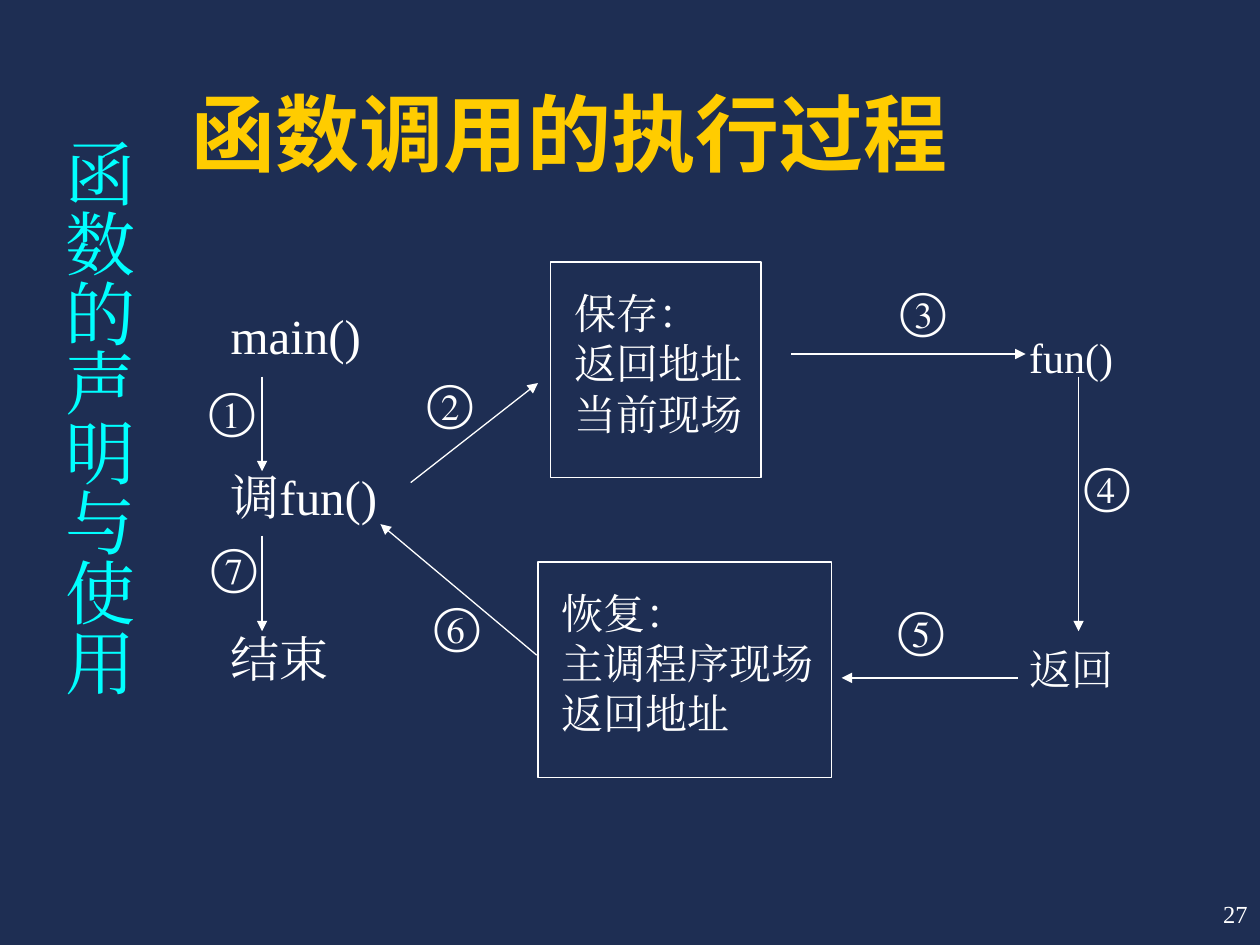
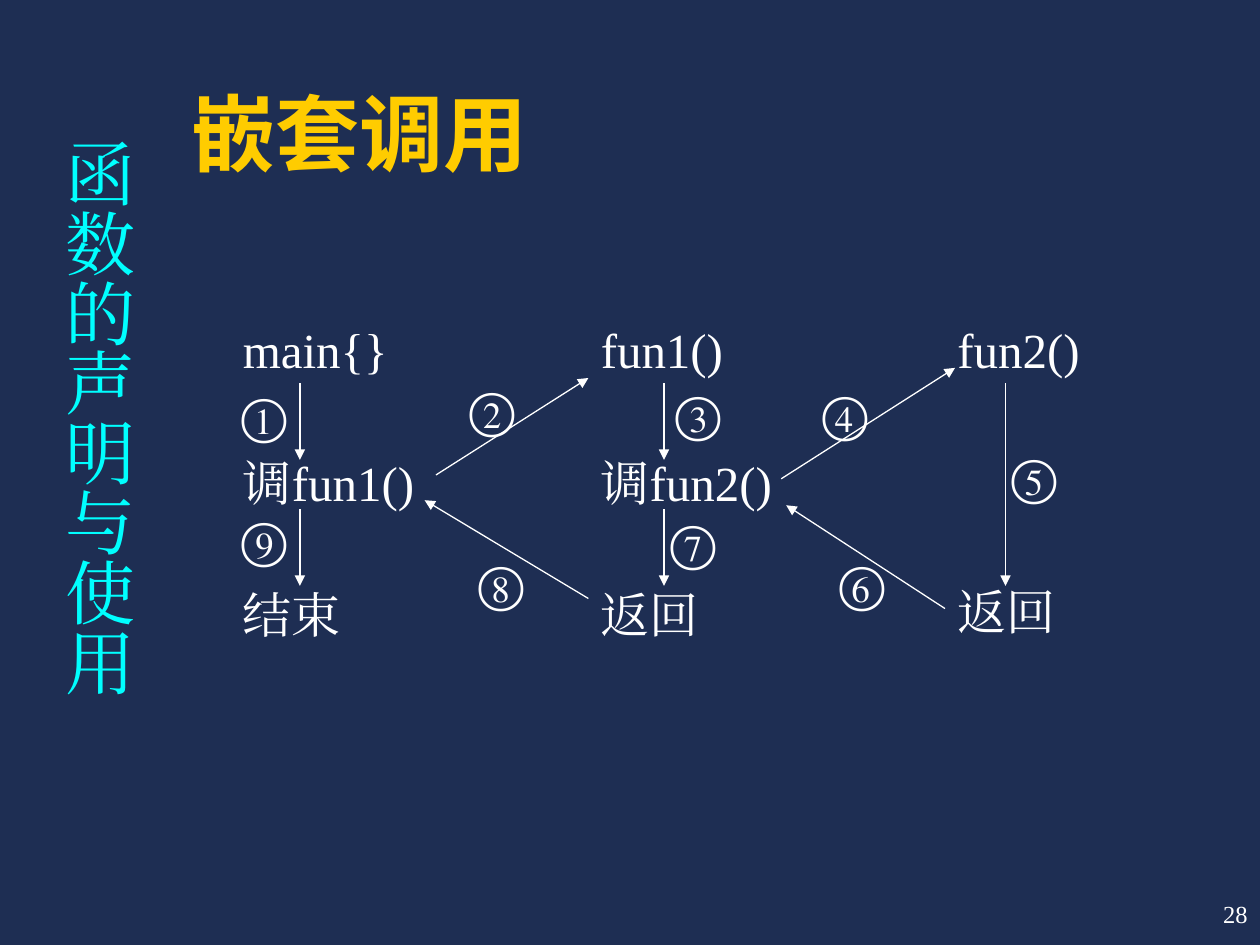
from dataclasses import dataclass

from lxml import etree
from pptx import Presentation
from pptx.dml.color import RGBColor
from pptx.enum.shapes import MSO_CONNECTOR, MSO_SHAPE
from pptx.enum.text import MSO_ANCHOR, MSO_AUTO_SIZE, PP_ALIGN
from pptx.oxml.ns import qn
from pptx.util import Inches, Pt

LEFT, CENTER, RIGHT = PP_ALIGN.LEFT, PP_ALIGN.CENTER, PP_ALIGN.RIGHT
TOP, MIDDLE, BOTTOM = MSO_ANCHOR.TOP, MSO_ANCHOR.MIDDLE, MSO_ANCHOR.BOTTOM
NO_AUTOFIT = MSO_AUTO_SIZE.NONE
RECTANGLE, STRAIGHT = MSO_SHAPE.RECTANGLE, MSO_CONNECTOR.STRAIGHT

NAVY, WHITE, GOLD, CYAN = "1E2E53", "FFFFFF", "FFCC00", "00FFFF"
SERIF, SANS = "Times New Roman", "Arial"
TITLE_ONLY = 5
LINE_HEIGHT = 1.15  # height of a serif line relative to its size
CHAPTER = "函数的声明与使用"


@dataclass
class Column:
    """Steps of one function, listed downwards with empty lines between."""
    left: float
    top: float
    width: float
    height: float
    steps: list[str]
    spacing: float
    size: int = 28
    skipped_lines: int = 1
    inset: float = 0.1


@dataclass
class StackBox:
    """Framed list of what is saved or restored."""
    left: float
    top: float
    width: float
    lines: list[str]


@dataclass
class Arrow:
    x1: float
    y1: float
    x2: float
    y2: float


@dataclass
class Mark:
    """Circled step number."""
    sign: str
    left: float
    top: float


@dataclass
class CallDiagram:
    title: str
    number: int
    columns: list[Column]
    arrows: list[Arrow]
    marks: list[Mark]
    boxes: list[StackBox]


def color(hex_code: str) -> RGBColor:
    return RGBColor.from_string(hex_code)


def write(shape, lines: list[str], *, size: int, font: str = SERIF, hue: str = WHITE,
          bold: bool = False, align=LEFT, anchor=TOP, spacing: float = 1.0, gap: float = 0,
          insets: tuple = (0.1, 0.05, 0.1, 0.05)) -> None:
    frame = shape.text_frame
    frame.text = "\n".join(lines)
    frame.word_wrap = True
    frame.auto_size = NO_AUTOFIT
    frame.vertical_anchor = anchor
    (frame.margin_left, frame.margin_top,
     frame.margin_right, frame.margin_bottom) = map(Inches, insets)
    for index, paragraph in enumerate(frame.paragraphs):
        paragraph.alignment = align
        paragraph.line_spacing = spacing
        paragraph.space_before = Pt(gap if index else 0)
        for run in paragraph.runs:
            run.font.name = font
            run.font.size = Pt(size)
            run.font.bold = bold
            run.font.color.rgb = color(hue)
            east_asian = etree.SubElement(run.font._element, qn("a:ea"))
            east_asian.set("typeface", font)


def add_text(slide, left: float, top: float, width: float, height: float,
             lines: list[str], **style):
    box = slide.shapes.add_textbox(*map(Inches, (left, top, width, height)))
    write(box, lines, **style)
    return box


def add_frame(slide, title: str, number: int) -> None:
    # Page number
    add_text(slide, 7.92, 7, 2.08, 0.5, [str(number)], size=14, align=RIGHT, anchor=MIDDLE)
    # Title
    heading = slide.shapes.title
    heading.left, heading.top, heading.width, heading.height = map(
        Inches, (1.42, 0.25, 7.83, 1.25))
    write(heading, [title], size=48, font=SANS, hue=GOLD, bold=True, anchor=BOTTOM)
    # Vertical chapter name
    chapter = add_text(slide, 0.3, 1, 0.86, 5.42, [CHAPTER], size=40, hue=CYAN,
                       align=CENTER, insets=(0.05, 0.1, 0.05, 0.1))
    chapter.text_frame._txBody.bodyPr.set("vert", "eaVert")


def add_column(slide, column: Column) -> None:
    gap = column.skipped_lines * column.size * LINE_HEIGHT * column.spacing
    add_text(slide, column.left, column.top, column.width, column.height, column.steps,
             size=column.size, spacing=column.spacing, gap=round(gap, 1),
             insets=(column.inset, 0.05, 0.1, 0.05))


def add_stack_box(slide, box: StackBox) -> None:
    shape = slide.shapes.add_shape(
        RECTANGLE, *map(Inches, (box.left, box.top, box.width, 1.71)))
    shape.shadow.inherit = False
    shape.fill.background()
    shape.line.color.rgb = color(WHITE)
    shape.line.width = Pt(0.75)
    write(shape, box.lines, size=24, insets=(0.19, 0.2, 0, 0))


def add_arrow(slide, arrow: Arrow) -> None:
    connector = slide.shapes.add_connector(
        STRAIGHT, *map(Inches, (arrow.x1, arrow.y1, arrow.x2, arrow.y2)))
    connector.line.color.rgb = color(WHITE)
    connector.line.width = Pt(0.75)
    properties = connector._element.spPr
    head = etree.SubElement(properties.find(qn("a:ln")), qn("a:tailEnd"))
    head.set("type", "triangle")
    etree.SubElement(properties, qn("a:effectLst"))


def add_mark(slide, mark: Mark) -> None:
    add_text(slide, mark.left, mark.top, 0.4, 0.5, [mark.sign], size=28, insets=(0, 0, 0, 0))


def add_diagram(prs, diagram: CallDiagram) -> None:
    slide = prs.slides.add_slide(prs.slide_layouts[TITLE_ONLY])
    add_frame(slide, diagram.title, diagram.number)
    for draw, parts in ((add_column, diagram.columns), (add_arrow, diagram.arrows),
                        (add_mark, diagram.marks), (add_stack_box, diagram.boxes)):
        for part in parts:
            draw(slide, part)


def nested_column(left: float, steps: list[str], skipped_lines: int = 1) -> Column:
    return Column(left, 2.42, 1.83, 2.83, steps, 1.15, skipped_lines=skipped_lines)


CALL_PROCESS = CallDiagram(
    "函数调用的执行过程", 27,
    columns=[
        Column(1.42, 2.19, 1.85, 3.58, ["main()", "调fun()", "结束"], 1.4, inset=0.41),
        Column(8.07, 2.34, 1.2, 3.58, ["fun()", "返回"], 1.6, size=24, skipped_lines=3),
    ],
    arrows=[
        Arrow(2.08, 2.99, 2.08, 3.74), Arrow(2.08, 4.25, 2.08, 5.01),
        Arrow(3.26, 3.83, 4.27, 3.04), Arrow(4.26, 5.2, 3.02, 4.16),
        Arrow(8.56, 2.99, 8.56, 5.01), Arrow(6.28, 2.81, 8.14, 2.81),
        Arrow(8.08, 5.38, 6.68, 5.38),
    ],
    marks=[
        Mark("①", 1.66, 3.01), Mark("②", 3.39, 2.95), Mark("③", 7.15, 2.22),
        Mark("④", 8.61, 3.61), Mark("⑤", 7.13, 4.75), Mark("⑥", 3.45, 4.72),
        Mark("⑦", 1.68, 4.25),
    ],
    boxes=[
        StackBox(4.37, 2.08, 1.67, ["保存：", "返回地址", "当前现场"]),
        StackBox(4.27, 4.46, 2.33, ["恢复：", "主调程序现场", "返回地址"]),
    ],
)

NESTED_CALL = CallDiagram(
    "嵌套调用", 28,
    columns=[
        nested_column(1.83, ["main{}", "调fun1()", "结束"]),
        nested_column(4.67, ["fun1()", "调fun2()", "返回"]),
        nested_column(7.5, ["fun2()", "返回"], skipped_lines=3),
    ],
    arrows=[
        *(Arrow(x, y, x, y + 0.61) for x in (2.38, 5.27) for y in (3.04, 4.04)),
        Arrow(3.46, 3.77, 4.67, 3), Arrow(4.67, 4.75, 3.37, 3.97),
        Arrow(6.2, 3.8, 7.58, 2.92), Arrow(7.98, 3.04, 7.98, 4.65),
        Arrow(7.5, 4.83, 6.24, 4.01),
    ],
    marks=[
        Mark("①", 1.92, 3.06), Mark("②", 3.73, 3.01), Mark("③", 5.36, 3.04),
        Mark("④", 6.53, 3.04), Mark("⑤", 8.03, 3.54), Mark("⑥", 6.66, 4.39),
        Mark("⑦", 5.32, 4.07), Mark("⑧", 3.8, 4.39), Mark("⑨", 1.92, 4.04),
    ],
    boxes=[],
)


def main() -> None:
    prs = Presentation()
    prs.slide_width, prs.slide_height = Inches(10), Inches(7.5)
    backdrop = prs.slide_master.background.fill
    backdrop.solid()
    backdrop.fore_color.rgb = color(NAVY)
    for diagram in (CALL_PROCESS, NESTED_CALL):
        add_diagram(prs, diagram)
    prs.save("out.pptx")


if __name__ == "__main__":
    main()
